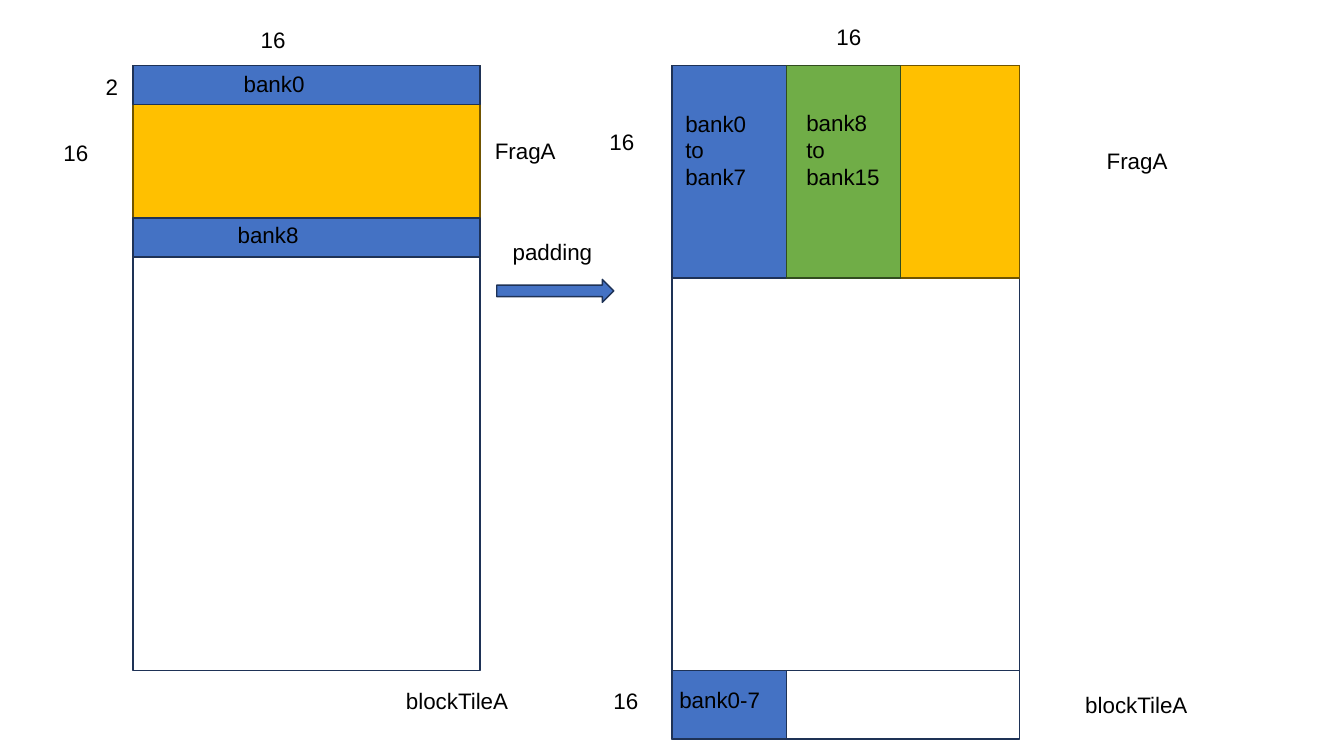
import pptx
import pptx.util
import pptx.dml.color
import pptx.enum.shapes
import pptx.enum.text

Cm = pptx.util.Cm
COLORS = {
    "blue": "4472C4", "gold": "FFC000", "green": "70AD47",
    "blue edge": "1E3256", "gold edge": "705400", "green edge": "314C1F",
    "text": "000000",
}

# Tile geometry in cm
TOP, TILE_HEIGHT = 1.65, 15.24
BEFORE_LEFT, AFTER_LEFT, TILE_WIDTH = 3.35, 16.94, 8.75
FRAG_BEFORE, FRAG_AFTER = 4.83, 5.36
BAND, PADDING_ROW = 0.99, 1.73
BANK_WIDTH = 2.88
TILE_BOTTOM = TOP + TILE_HEIGHT

# (left, top, width, height, fill), back to front
BLOCKS = [
    (BEFORE_LEFT, TOP, TILE_WIDTH, TILE_HEIGHT, None),
    (BEFORE_LEFT, TOP, TILE_WIDTH, FRAG_BEFORE, "gold"),
    (BEFORE_LEFT, TOP, TILE_WIDTH, BAND, "blue"),
    (BEFORE_LEFT, TOP + FRAG_BEFORE - BAND, TILE_WIDTH, BAND, "blue"),
    (AFTER_LEFT, TOP, TILE_WIDTH, TILE_HEIGHT, None),
    (AFTER_LEFT, TOP, TILE_WIDTH, FRAG_AFTER, "gold"),
    (AFTER_LEFT, TOP, BANK_WIDTH, FRAG_AFTER, "blue"),
    (AFTER_LEFT + BANK_WIDTH, TOP, BANK_WIDTH, FRAG_AFTER, "green"),
    (AFTER_LEFT, TILE_BOTTOM, TILE_WIDTH, PADDING_ROW, None),
    (AFTER_LEFT, TILE_BOTTOM, BANK_WIDTH, PADDING_ROW, "blue"),
]
PADDING_ARROW = (12.52, 7.04, 2.95, 0.58, "blue")

# (text, left, top, width)
LABELS = [
    ("16", 6.32, 0.53, 1.24),
    ("2", 2.41, 1.73, 0.81),
    ("16", 1.35, 3.38, 1.24),
    ("bank0", 5.89, 1.65, 2.13),
    ("bank8", 5.74, 5.46, 2.13),
    ("FragA", 12.22, 3.33, 3.78),
    ("blockTileA", 9.98, 17.2, 3.78),
    ("padding", 12.67, 5.87, 3.78),
    ("16", 20.83, 0.46, 1.24),
    ("16", 15.11, 3.1, 1.24),
    ("bank0\nto\nbank7", 17.02, 2.64, 2.64),
    ("bank8\nto\nbank15", 20.07, 2.62, 2.64),
    ("FragA", 27.64, 3.58, 3.78),
    ("16", 15.21, 17.2, 1.24),
    ("bank0-7", 16.87, 17.17, 2.79),
    ("blockTileA", 27.1, 17.3, 3.78),
]


def rgb(color):
    return pptx.dml.color.RGBColor.from_string(COLORS[color])


def add_block(slide, kind, left, top, width, height, fill):
    """Draw an outlined shape; without a fill it stays open with a blue edge."""
    block = slide.shapes.add_shape(kind, Cm(left), Cm(top), Cm(width), Cm(height))
    block.shadow.inherit = False
    if fill:
        block.fill.solid()
        block.fill.fore_color.rgb = rgb(fill)
    else:
        block.fill.background()
    block.line.color.rgb = rgb(f"{fill or 'blue'} edge")
    block.line.width = pptx.util.Pt(1)


def add_label(slide, text, left, top, width, *, size=16, font="Arial", color="text"):
    lines = text.split("\n")
    height = 0.25 + 0.69 * len(lines)
    label = slide.shapes.add_textbox(Cm(left), Cm(top), Cm(width), Cm(height))
    frame = label.text_frame
    frame.word_wrap = True
    frame.auto_size = pptx.enum.text.MSO_AUTO_SIZE.SHAPE_TO_FIT_TEXT
    frame.text = text
    for paragraph in frame.paragraphs:
        paragraph.font.size = pptx.util.Pt(size)
        paragraph.font.name = font
        paragraph.font.color.rgb = rgb(color)


def main():
    deck = pptx.Presentation()
    deck.slide_width, deck.slide_height = Cm(33.87), Cm(19.05)
    slide = deck.slides.add_slide(deck.slide_layouts[6])
    shapes = pptx.enum.shapes.MSO_SHAPE
    for block in BLOCKS:
        add_block(slide, shapes.RECTANGLE, *block)
    add_block(slide, shapes.RIGHT_ARROW, *PADDING_ARROW)
    for label in LABELS:
        add_label(slide, *label)
    deck.save("out.pptx")


if __name__ == "__main__":
    main()
